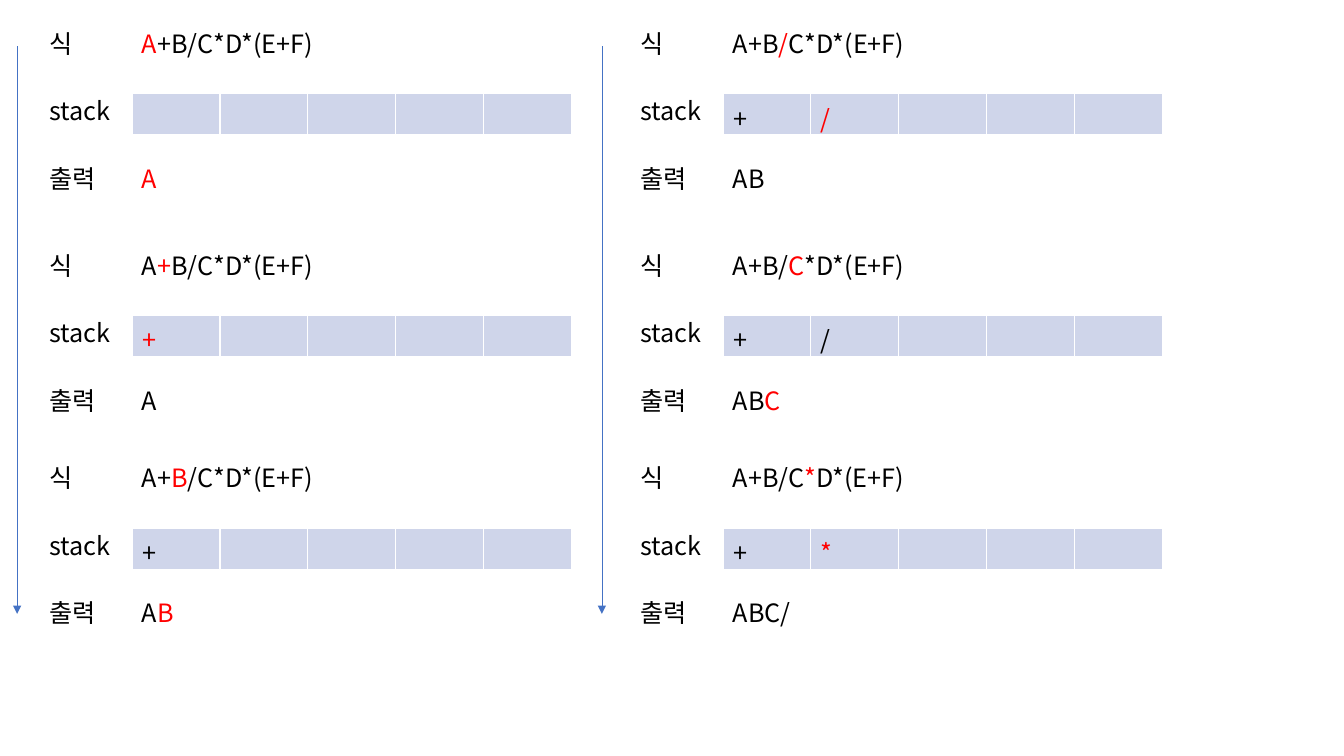
from pptx import Presentation, util as u
from pptx.dml.color import RGBColor
from pptx.enum import shapes, text
from pptx.oxml.ns import qn
from lxml import etree

HUES = {"ink": "000000", "mark": "FF0000", "cell": "CFD5EA", "line": "4472C4"}
FONT = "Noto Sans CJK KR"

# Each step: formula, stack, output; text between bars is marked red
STEPS = [
    [("|A|+B/C*D*(E+F)", [], "|A|"),
     ("A|+|B/C*D*(E+F)", ["|+|"], "A"),
     ("A+|B|/C*D*(E+F)", ["+"], "A|B|")],
    [("A+B|/|C*D*(E+F)", ["+", "|/|"], "AB"),
     ("A+B/|C|*D*(E+F)", ["+", "/"], "AB|C|"),
     ("A+B/C|*|D*(E+F)", ["+", "|*|"], "ABC/")],
]
LEFTS = [0.39, 6.25]
TOPS = [0.26, 2.46, 4.57]
GAP = 0.67

deck = Presentation()
deck.slide_width, deck.slide_height = u.Inches(13.33), u.Inches(7.5)
slide = deck.slides.add_slide(deck.slide_layouts[6])


def write(frame, words):
    for i, part in enumerate(words.split("|")):
        if part:
            run = frame.paragraphs[0].add_run()
            run.text = part
            run.font.size = u.Pt(18)
            run.font.name = FONT
            run.font.color.rgb = RGBColor.from_string(HUES["mark" if i % 2 else "ink"])
            asian = etree.SubElement(run.font._element, qn("a:ea"))
            asian.set("typeface", FONT)


def label(left, top, width, words):
    box = slide.shapes.add_textbox(*map(u.Inches, (left, top, width, 0.4)))
    frame = box.text_frame
    frame.word_wrap = True
    frame.auto_size = text.MSO_AUTO_SIZE.SHAPE_TO_FIT_TEXT
    frame.margin_top = frame.margin_bottom = u.Inches(0.02)
    write(frame, words)


for left, steps in zip(LEFTS, STEPS):
    for top, (formula, stack, output) in zip(TOPS, steps):
        # Row names, formula and output
        for i, name in enumerate(["식", "stack", "출력"]):
            label(left, top + i * GAP, 0.82, name)
        label(left + 0.92, top, 2.99, formula)
        label(left + 0.92, top + 2 * GAP, 2.99, output)

        # Stack cells
        grid = slide.shapes.add_table(
            1, 5, *map(u.Inches, (left + 0.92, top + GAP, 4.36, 0.41))).table
        grid.first_row = grid.horz_banding = False
        for i, cell in enumerate(grid.rows[0].cells):
            cell.fill.solid()
            cell.fill.fore_color.rgb = RGBColor.from_string(HUES["cell"])
            cell.margin_bottom = 0
            if i < len(stack):
                write(cell.text_frame, stack[i])

# Downward arrows beside each column
for x in [0.17, 5.97]:
    arrow = slide.shapes.add_connector(
        shapes.MSO_CONNECTOR.STRAIGHT, *map(u.Inches, (x, 0.46, x, 6.09)))
    arrow.line.color.rgb = RGBColor.from_string(HUES["line"])
    arrow.line.width = u.Pt(0.5)
    props = arrow._element.spPr
    etree.SubElement(props.find(qn("a:ln")), qn("a:tailEnd")).set("type", "triangle")
    etree.SubElement(props, qn("a:effectLst"))

deck.save("out.pptx")
